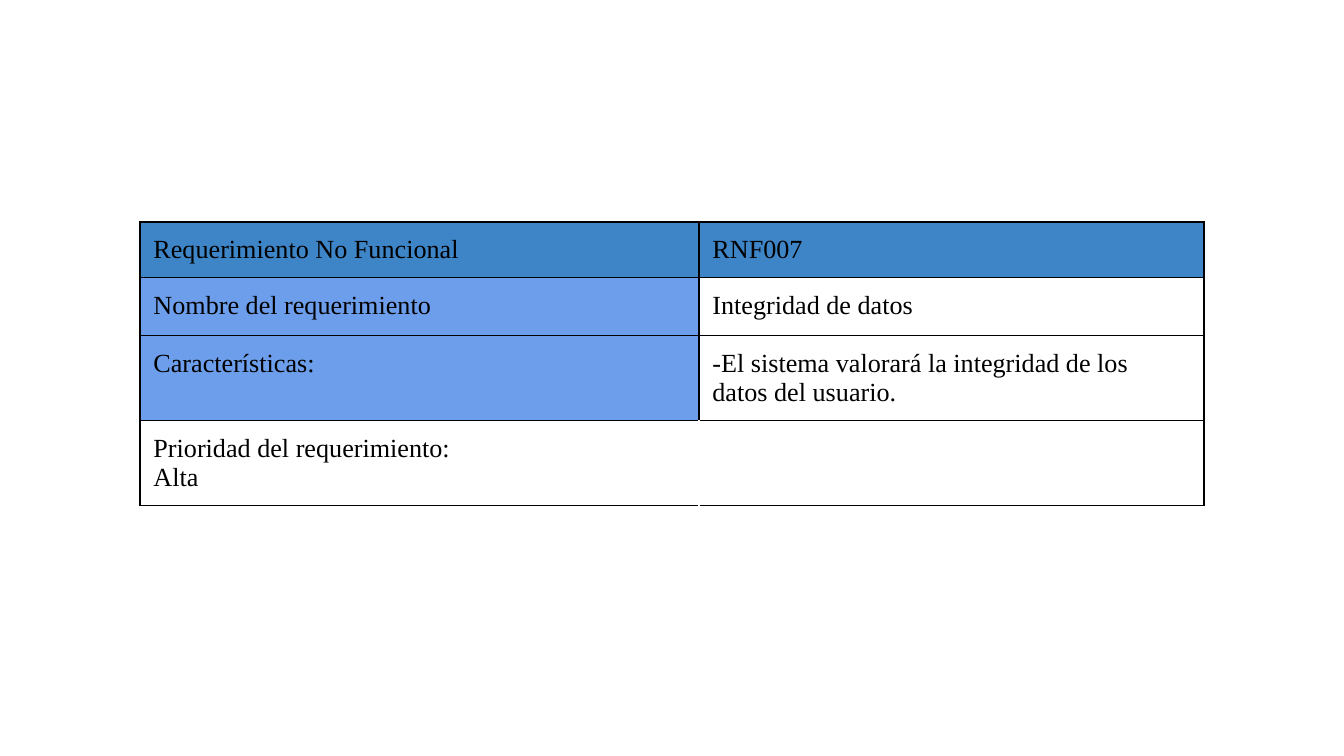
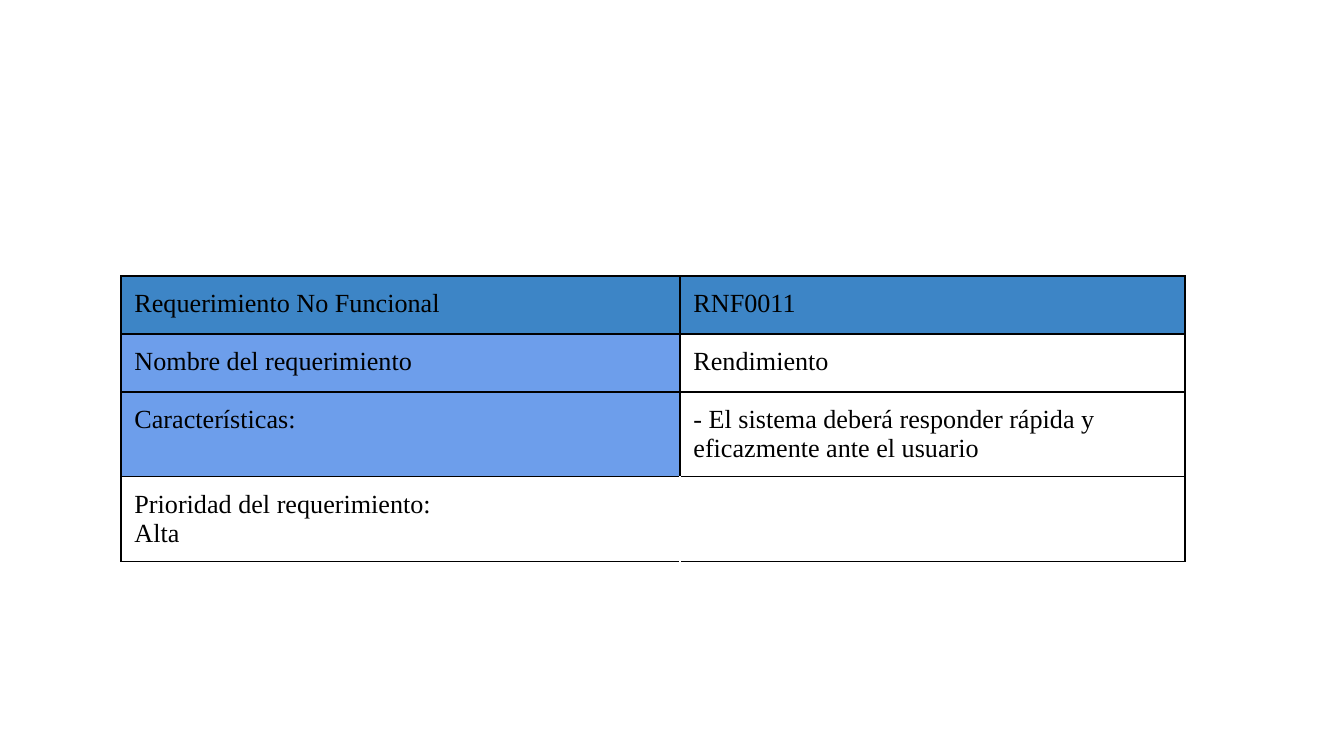
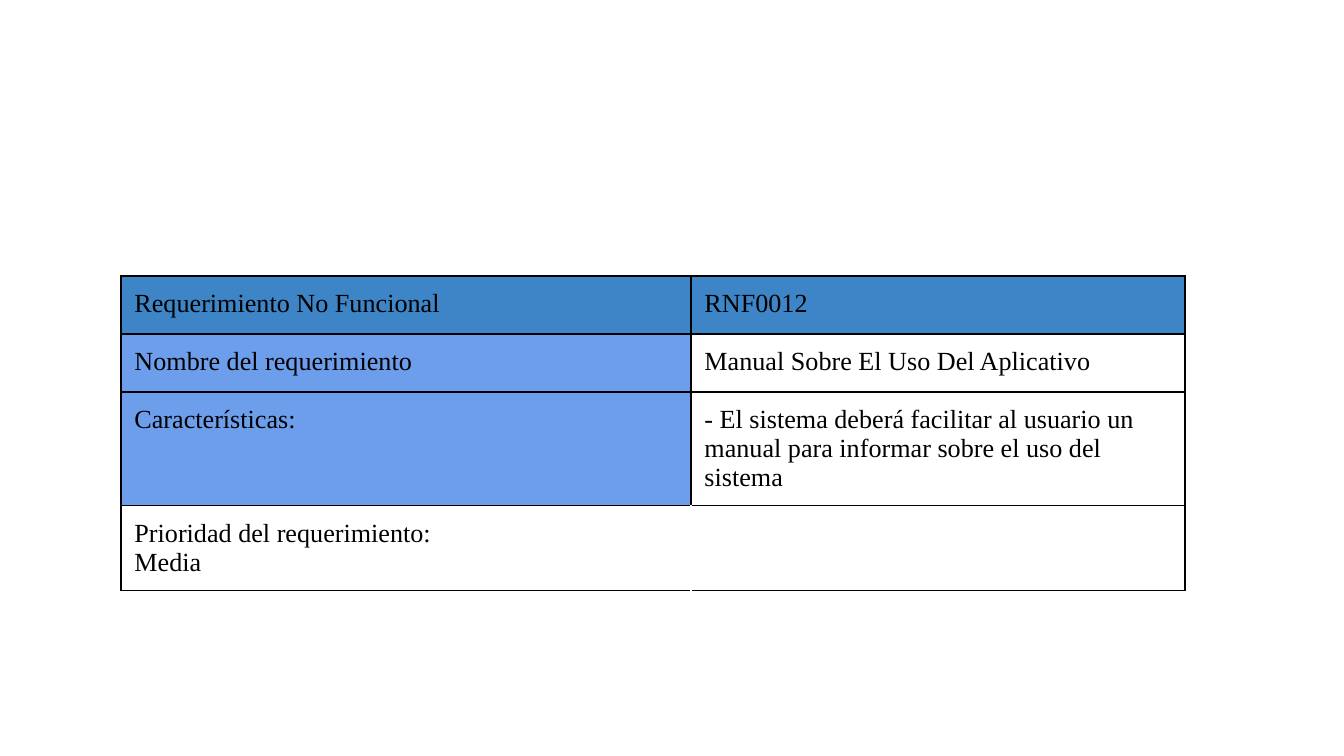
"""Build three slides, each with the table of one non-functional requirement."""
from lxml import etree
from pptx import Presentation
from pptx.dml.color import RGBColor
from pptx.oxml.ns import qn
from pptx.util import Pt

REQUIREMENTS = [
    {"code": "RNF007", "name": "Integridad de datos",
     "features": "-El sistema valorará la integridad de los datos del usuario.",
     "priority": "Alta",
     "corner": (140, 222), "columns": (559, 505), "header_height": 40},
    {"code": "RNF0011", "name": "Rendimiento",
     "features": "- El sistema deberá responder rápida y eficazmente ante el usuario",
     "priority": "Alta",
     "corner": (121, 276), "columns": (559, 505), "header_height": 58},
    {"code": "RNF0012", "name": "Manual Sobre El Uso Del Aplicativo",
     "features": "- El sistema deberá facilitar al usuario un manual "
                 "para informar sobre el uso del sistema",
     "priority": "Media",
     "corner": (121, 276), "columns": (570, 494), "header_height": 58},
]
COLORS = {"header": "3D85C6", "label": "6D9EEB", "plain": "FFFFFF", "ink": "000000"}
FILLS = [("header", "header"), ("label", "plain"), ("label", "plain"), ("plain", "plain")]
FONT = "Times New Roman"
FONT_SIZE = Pt(14)
BORDER_WIDTH = Pt(0.75)
SLIDE_SIZE = (1344, 756)
ROW_HEIGHT = 58
PADDING = 13.44
BLANK_LAYOUT = 6


def px(length):
    return round(length * 914400 / 134.4)


def draw_borders(cell, hidden_side):
    properties = cell._tc.get_or_add_tcPr()
    for side in ("lnL", "lnR", "lnT", "lnB"):
        border = etree.SubElement(properties, qn(f"a:{side}"), w=str(BORDER_WIDTH))
        paint = etree.SubElement(border, qn("a:solidFill"))
        color = COLORS["plain" if side == hidden_side else "ink"]
        etree.SubElement(paint, qn("a:srgbClr"), val=color)


def write_lines(cell, lines):
    frame = cell.text_frame
    for index, line in enumerate(lines):
        paragraph = frame.add_paragraph() if index else frame.paragraphs[0]
        run = paragraph.add_run()
        run.text = line
        run.font.name = FONT
        run.font.size = FONT_SIZE
        run.font.color.rgb = RGBColor.from_string(COLORS["ink"])


def format_cell(cell, lines, fill, hidden_side):
    cell.margin_left = cell.margin_right = px(PADDING)
    cell.margin_top = cell.margin_bottom = px(PADDING)
    draw_borders(cell, hidden_side)
    cell.fill.solid()
    cell.fill.fore_color.rgb = RGBColor.from_string(COLORS[fill])
    write_lines(cell, lines)


def add_requirement(slide, requirement):
    rows = [
        (["Requerimiento No Funcional"], [requirement["code"]]),
        (["Nombre del requerimiento"], [requirement["name"]]),
        (["Características:"], [requirement["features"]]),
        (["Prioridad del requerimiento:", requirement["priority"]], []),
    ]
    columns = requirement["columns"]
    heights = [requirement["header_height"]] + [ROW_HEIGHT] * (len(rows) - 1)
    left, top = requirement["corner"]
    table = slide.shapes.add_table(len(rows), len(columns), px(left), px(top),
                                   px(sum(columns)), px(sum(heights))).table
    table.first_row = table.horz_banding = False
    for column, width in zip(table.columns, columns):
        column.width = px(width)
    for row_index, (row, height) in enumerate(zip(rows, heights)):
        table.rows[row_index].height = px(height)
        is_priority = row_index == len(rows) - 1
        for column_index, lines in enumerate(row):
            hidden_side = ("lnR", "lnL")[column_index] if is_priority else None
            format_cell(table.cell(row_index, column_index), lines,
                        FILLS[row_index][column_index], hidden_side)


def main():
    deck = Presentation()
    deck.slide_width, deck.slide_height = map(px, SLIDE_SIZE)
    for requirement in REQUIREMENTS:
        slide = deck.slides.add_slide(deck.slide_layouts[BLANK_LAYOUT])
        add_requirement(slide, requirement)
    deck.save("out.pptx")


if __name__ == "__main__":
    main()
